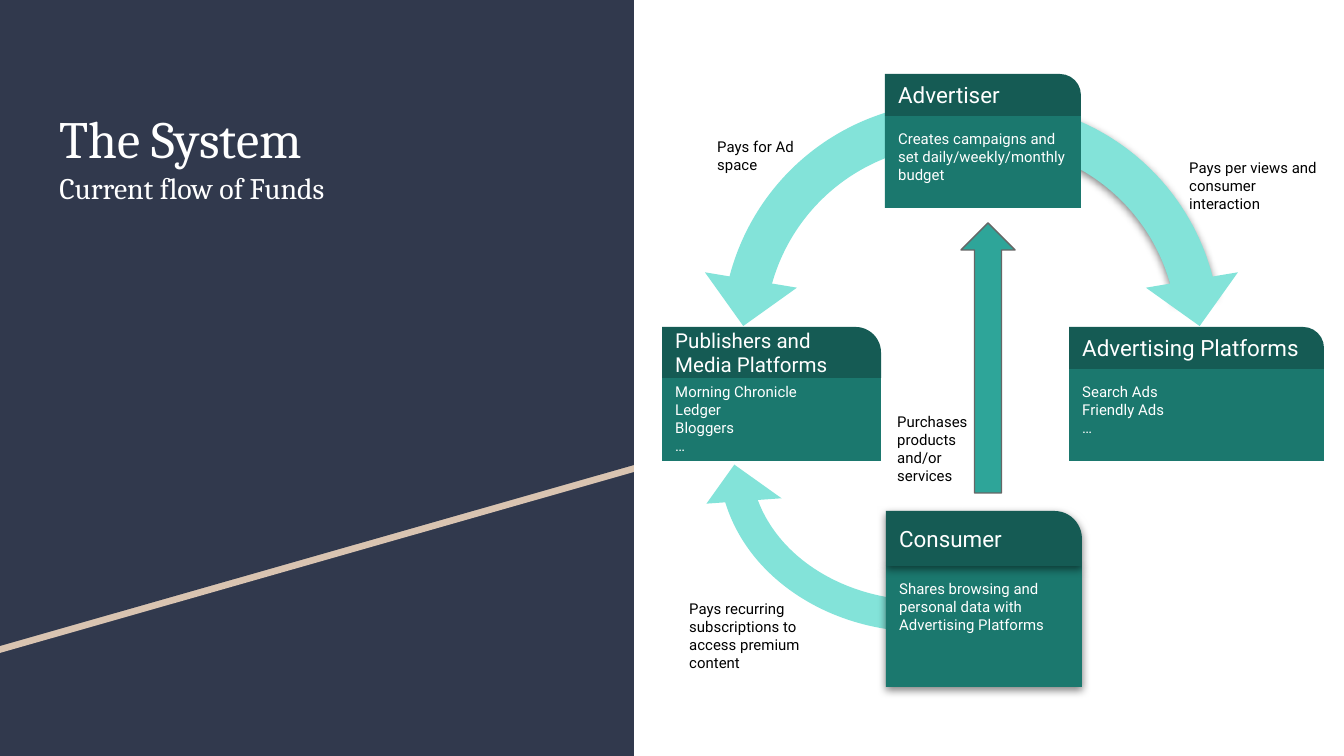
from lxml.etree import SubElement
from pptx import Presentation
from pptx.dml.color import RGBColor
from pptx.enum.shapes import MSO_SHAPE
from pptx.enum.text import MSO_ANCHOR, MSO_AUTO_SIZE, PP_ALIGN
from pptx.oxml.ns import qn
from pptx.util import Emu, Pt

SCALE = 9144000 / 1344
NAVY, SAND, WHITE, BLACK = "31394D", "D9C4B1", "FFFFFF", "000000"
BODY_TEAL, HEADER_TEAL, ARROW_TEAL, AQUA = "1B786E", "155B54", "2EA599", "83E3D9"
GREY = "666666"
QUARTER_ARC = (53.998, 101.865, 0.092)


def px(length):
    return Emu(round(length * SCALE))


def color(hex_value):
    return RGBColor.from_string(hex_value)


class FlowSlide:
    heading_font = "Cambria"
    label_font = "Roboto"
    inset = Pt(7.2)

    def __init__(self, slide):
        self.slide = slide
        self.shapes = slide.shapes

    def paint(self, shape, fill, line=None):
        shape.shadow.inherit = False
        shape.fill.solid()
        shape.fill.fore_color.rgb = color(fill)
        if line:
            shape.line.color.rgb = color(line)
            shape.line.width = Pt(0.75)
        else:
            shape.line.fill.background()

    def cast_shadow(self, shape):
        effects = shape.element.spPr.find(qn("a:effectLst"))
        outer = SubElement(effects, qn("a:outerShdw"), blurRad=str(Pt(4.5)),
                           dist=str(Pt(1.5)), dir="5400000", algn="bl", rotWithShape="0")
        tint = SubElement(outer, qn("a:srgbClr"), val=BLACK)
        SubElement(tint, qn("a:alpha"), val="50000")

    def set_text(self, shape, text, sizes, ink, font, anchor=MSO_ANCHOR.TOP):
        frame = shape.text_frame
        frame.text = text
        frame.word_wrap = True
        frame.auto_size = MSO_AUTO_SIZE.NONE
        frame.vertical_anchor = anchor
        frame.margin_left = frame.margin_right = self.inset
        frame.margin_top = frame.margin_bottom = self.inset
        for index, paragraph in enumerate(frame.paragraphs):
            paragraph.alignment = PP_ALIGN.LEFT
            for run in paragraph.runs:
                run.font.size = Pt(sizes[min(index, len(sizes) - 1)])
                run.font.name = font
                run.font.color.rgb = color(ink)

    def block(self, kind, box, fill, line=None, adjustments=(), rotation=0,
              flip=False, shadow=False):
        shape = self.shapes.add_shape(kind, *map(px, box))
        for index, value in enumerate(adjustments):
            shape.adjustments[index] = value
        shape.rotation = rotation
        if flip:
            shape.element.spPr.find(qn("a:xfrm")).set("flipH", "1")
        self.paint(shape, fill, line)
        if shadow:
            self.cast_shadow(shape)
        return shape

    def outline(self, points, fill):
        start, *rest = points
        builder = self.shapes.build_freeform(*start, scale=SCALE)
        builder.add_line_segments(rest, close=True)
        self.paint(builder.convert_to_shape(), fill)

    def title(self, box, text, sizes):
        heading = self.shapes.title
        heading.element.getparent().append(heading.element)
        heading.left, heading.top, heading.width, heading.height = map(px, box)
        self.set_text(heading, text, sizes, WHITE, self.heading_font)

    def curved_arrow(self, arc, head, head_rotation, arc_rotation=0, flip=False, shadow=False):
        self.block(MSO_SHAPE.BLOCK_ARC, arc, AQUA, adjustments=QUARTER_ARC,
                   rotation=arc_rotation, flip=flip, shadow=shadow)
        self.block(MSO_SHAPE.RIGHT_TRIANGLE, head, AQUA, rotation=head_rotation, flip=flip)

    def card(self, left, top, width, header_height, body_top, body_height,
             name, details, name_size=12, shadow=False):
        body = self.block(MSO_SHAPE.RECTANGLE, (left, body_top, width, body_height),
                          BODY_TEAL, shadow=shadow)
        self.set_text(body, details, [8], WHITE, self.label_font)
        header = self.block(MSO_SHAPE.ROUND_1_RECTANGLE, (left, top, width, header_height),
                            HEADER_TEAL, adjustments=[0.5], shadow=shadow)
        self.set_text(header, name, [name_size], WHITE, self.label_font, MSO_ANCHOR.MIDDLE)

    def label(self, box, text):
        caption = self.shapes.add_textbox(*map(px, box))
        self.set_text(caption, text, [8], BLACK, self.label_font)
        caption.text_frame.auto_size = MSO_AUTO_SIZE.SHAPE_TO_FIT_TEXT


def main():
    deck = Presentation()
    deck.slide_width, deck.slide_height = px(1344), px(756)
    flow = FlowSlide(deck.slides.add_slide(deck.slide_layouts[5]))

    flow.block(MSO_SHAPE.RECTANGLE, (0, 0, 634, 756), NAVY)
    flow.outline([(0, 7), (633, 7), (634, 472), (0, 653)], SAND)
    flow.outline([(0, 0), (634, 0), (634, 465), (0, 646)], NAVY)
    flow.title((46, 93, 544, 354), "The System\nCurrent flow of Funds", [28, 16])

    flow.curved_arrow((722, 102, 466, 466), (718, 247, 66, 66), 54.5, 180, flip=True)
    flow.curved_arrow((754, 102, 466, 466), (1159, 247, 66, 66), 305.5, 180, shadow=True)
    flow.card(1069, 327, 255, 42, 369, 92, "Advertising Platforms",
              "Search Ads\nFriendly Ads\n…")
    flow.card(885, 74, 196, 42, 116, 92, "Advertiser",
              "Creates campaigns and set daily/weekly/monthly budget")
    flow.card(662, 327, 219, 51, 369, 92, "Publishers and Media Platforms",
              "Morning Chronicle\nLedger\nBloggers\n…", name_size=11)
    flow.curved_arrow((719, 288, 410, 344), (720, 472, 48, 58), 125.5)
    flow.block(MSO_SHAPE.UP_ARROW, (961, 223, 54, 270), ARROW_TEAL, GREY, (0.5, 0.5))
    flow.card(886, 511, 196, 55, 566, 121, "Consumer",
              "Shares browsing and personal data with Advertising Platforms", shadow=True)

    flow.label((1176, 145, 168, 63), "Pays per views and consumer interaction")
    flow.label((704, 124, 168, 63), "Pays for Ad\vspace")
    flow.label((676, 586, 168, 99), "Pays recurring subscriptions to access premium content")
    flow.label((884, 399, 109, 99), "Purchases products and/or services")

    deck.save("out.pptx")


if __name__ == "__main__":
    main()
